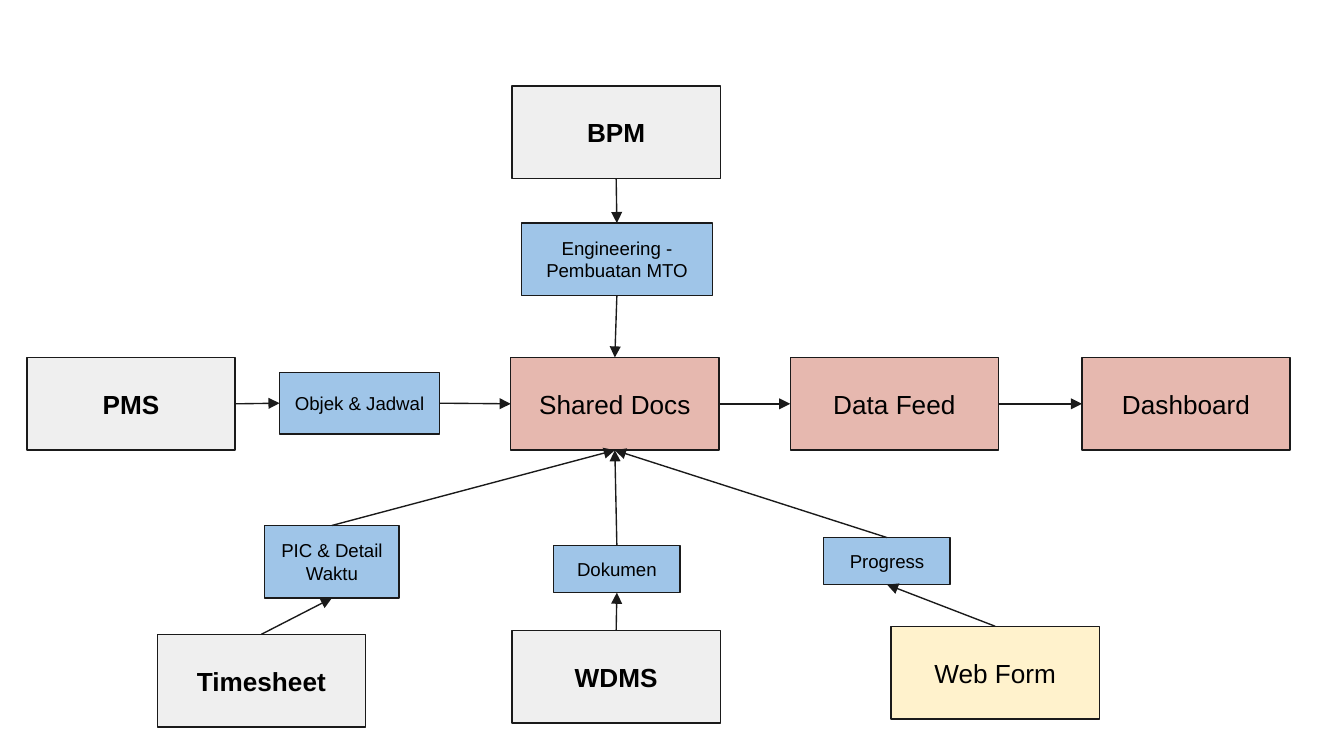
from dataclasses import dataclass

from lxml import etree
from pptx import Presentation
from pptx import util as u
from pptx.dml.color import RGBColor
from pptx.enum import shapes, text
from pptx.oxml.ns import qn

TOP, LEFT, BOTTOM, RIGHT = range(4)  # connection sites of a rectangle


@dataclass(frozen=True)
class Theme:
    font: str = "Arial"
    ink: str = "000000"
    line: str = "1A1A1A"
    system: str = "EFEFEF"
    data: str = "9FC5E8"
    output: str = "E6B8AF"
    form: str = "FFF2CC"
    system_size: int = 14
    data_size: int = 10
    line_width: float = 0.75


THEME = Theme()
PAGE_WIDTH = 10
PAGE_HEIGHT = PAGE_WIDTH * 9 / 16
SYSTEM_SIZE = (1.55, 0.69)


def color(value):
    return RGBColor.from_string(value)


def add_node(page, label, left, top, size, fill, points, bold=False):
    node = page.shapes.add_shape(
        shapes.MSO_SHAPE.RECTANGLE, *map(u.Inches, (left, top, *size)))
    node.shadow.inherit = False
    node.fill.solid()
    node.fill.fore_color.rgb = color(fill)
    node.line.color.rgb = color(THEME.line)
    node.line.width = u.Pt(THEME.line_width)
    frame = node.text_frame
    frame.word_wrap = True
    frame.vertical_anchor = text.MSO_ANCHOR.MIDDLE
    frame.margin_left = frame.margin_right = u.Inches(0.1)
    frame.margin_top = frame.margin_bottom = u.Inches(0.1)
    frame.text = label
    para = frame.paragraphs[0]
    para.alignment = text.PP_ALIGN.CENTER
    span = para.runs[0]
    span.font.name = THEME.font
    span.font.size = u.Pt(points)
    span.font.bold = bold
    span.font.color.rgb = color(THEME.ink)
    return node


def add_system(page, label, left, top, fill=THEME.system):
    """Add a large box; only source systems are bold."""
    return add_node(page, label, left, top, SYSTEM_SIZE, fill,
                    THEME.system_size, bold=fill == THEME.system)


def add_data(page, label, left, top, size):
    return add_node(page, label, left, top, size, THEME.data, THEME.data_size)


def add_arrow(page, start, start_site, end, end_site):
    arrow = page.shapes.add_connector(shapes.MSO_CONNECTOR.STRAIGHT, 0, 0, 0, 0)
    arrow.begin_connect(start, start_site)
    arrow.end_connect(end, end_site)
    arrow.line.color.rgb = color(THEME.line)
    arrow.line.width = u.Pt(THEME.line_width)
    outline = arrow._element.spPr.find(qn("a:ln"))
    etree.SubElement(outline, qn("a:tailEnd"), type="triangle")
    etree.SubElement(arrow._element.spPr, qn("a:effectLst"))


def add_output_row(page, left, top):
    """Add the chain of outputs and return its first box, the hub."""
    steps = (("Shared Docs", 0), ("Data Feed", 2.08), ("Dashboard", 4.25))
    nodes = [add_system(page, label, left + offset, top, THEME.output)
             for label, offset in steps]
    for start, end in zip(nodes, nodes[1:]):
        add_arrow(page, start, RIGHT, end, LEFT)
    return nodes[0]


def link_to_hub(page, source, data, hub, exit_site, entry_site):
    """Join source to data and data to hub, all flowing the same way."""
    add_arrow(page, source, exit_site, data, entry_site)
    add_arrow(page, data, exit_site, hub, entry_site)


def add_process_input(page, left, top, hub):
    source = add_system(page, "BPM", left, top)
    data = add_data(page, "Engineering - Pembuatan MTO",
                    left + 0.07, top + 1.02, (1.42, 0.54))
    link_to_hub(page, source, data, hub, BOTTOM, TOP)


def add_schedule_input(page, left, top, hub):
    source = add_system(page, "PMS", left, top)
    data = add_data(page, "Objek & Jadwal", left + 1.88, top + 0.11, (1.19, 0.46))
    link_to_hub(page, source, data, hub, RIGHT, LEFT)


def add_lower_inputs(page, left, top, hub):
    """Add three branches rising to the hub: source and data, each with its offset."""
    branches = (
        ("Timesheet", THEME.system, 0, 0.81,
         "PIC & Detail Waktu", 0.8, 0, (1, 0.54)),
        ("WDMS", THEME.system, 2.64, 0.78,
         "Dokumen", 2.95, 0.15, (0.94, 0.35)),
        ("Web Form", THEME.form, 5.46, 0.75,
         "Progress", 4.96, 0.09, (0.94, 0.35)),
    )
    for label, fill, x, y, data_label, data_x, data_y, size in branches:
        source = add_system(page, label, left + x, top + y, fill)
        data = add_data(page, data_label, left + data_x, top + data_y, size)
        link_to_hub(page, source, data, hub, TOP, BOTTOM)


def main():
    deck = Presentation()
    deck.slide_width, deck.slide_height = map(u.Inches, (PAGE_WIDTH, PAGE_HEIGHT))
    page = deck.slides.add_slide(deck.slide_layouts[6])
    hub = add_output_row(page, 3.8, 2.66)
    add_process_input(page, 3.81, 0.64, hub)
    add_schedule_input(page, 0.2, 2.66, hub)
    add_lower_inputs(page, 1.17, 3.91, hub)
    deck.save("out.pptx")


if __name__ == "__main__":
    main()
